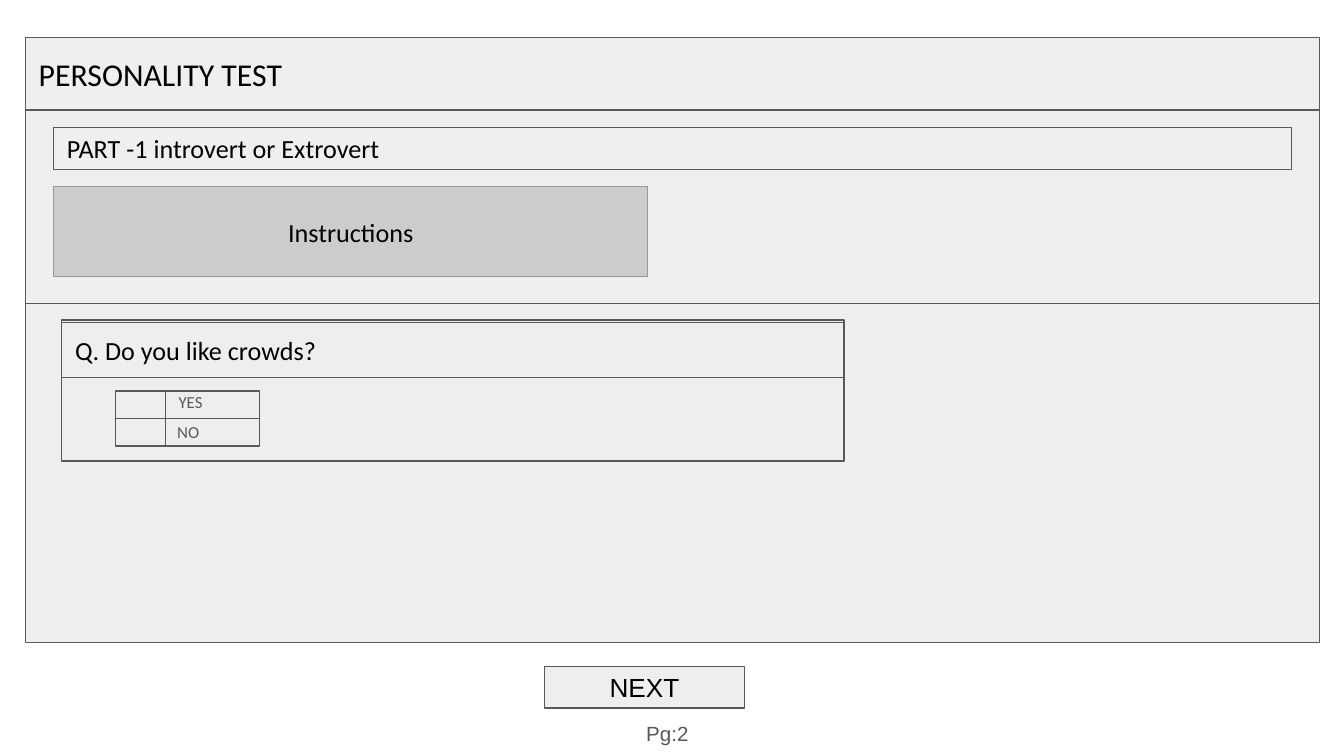
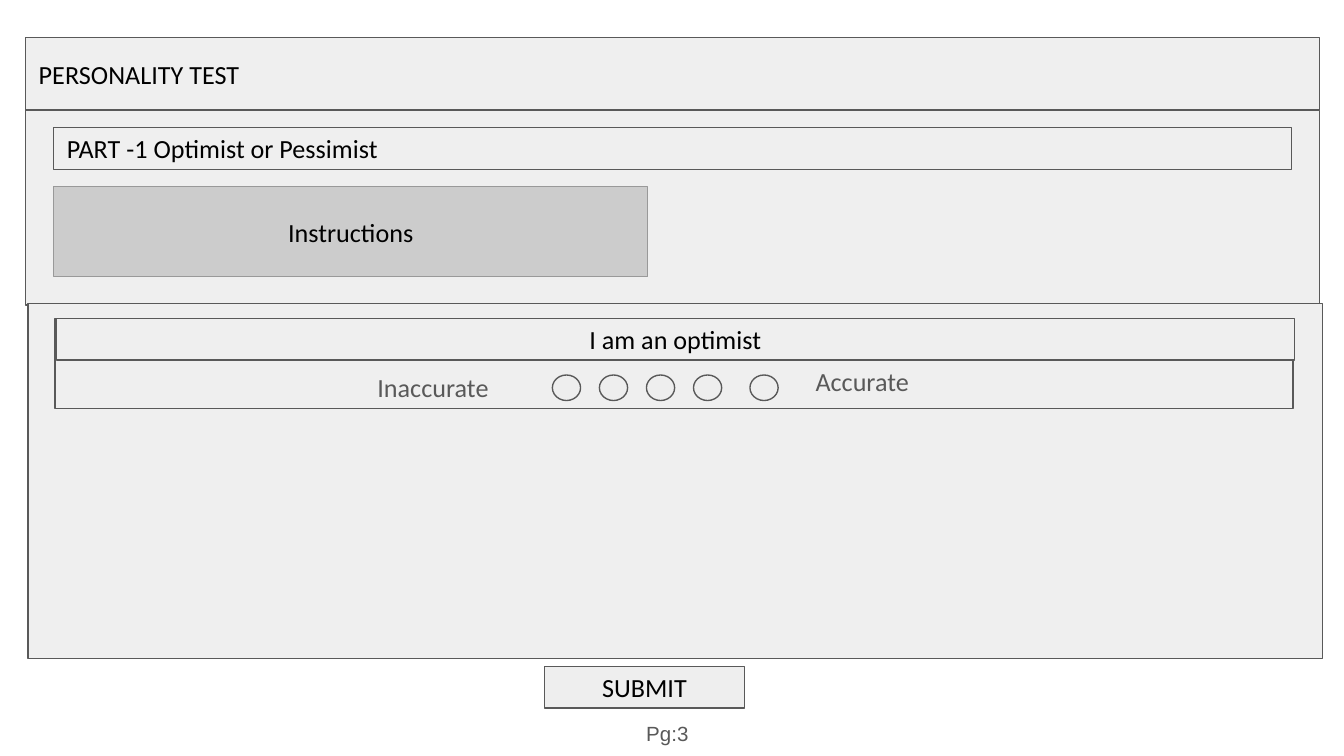
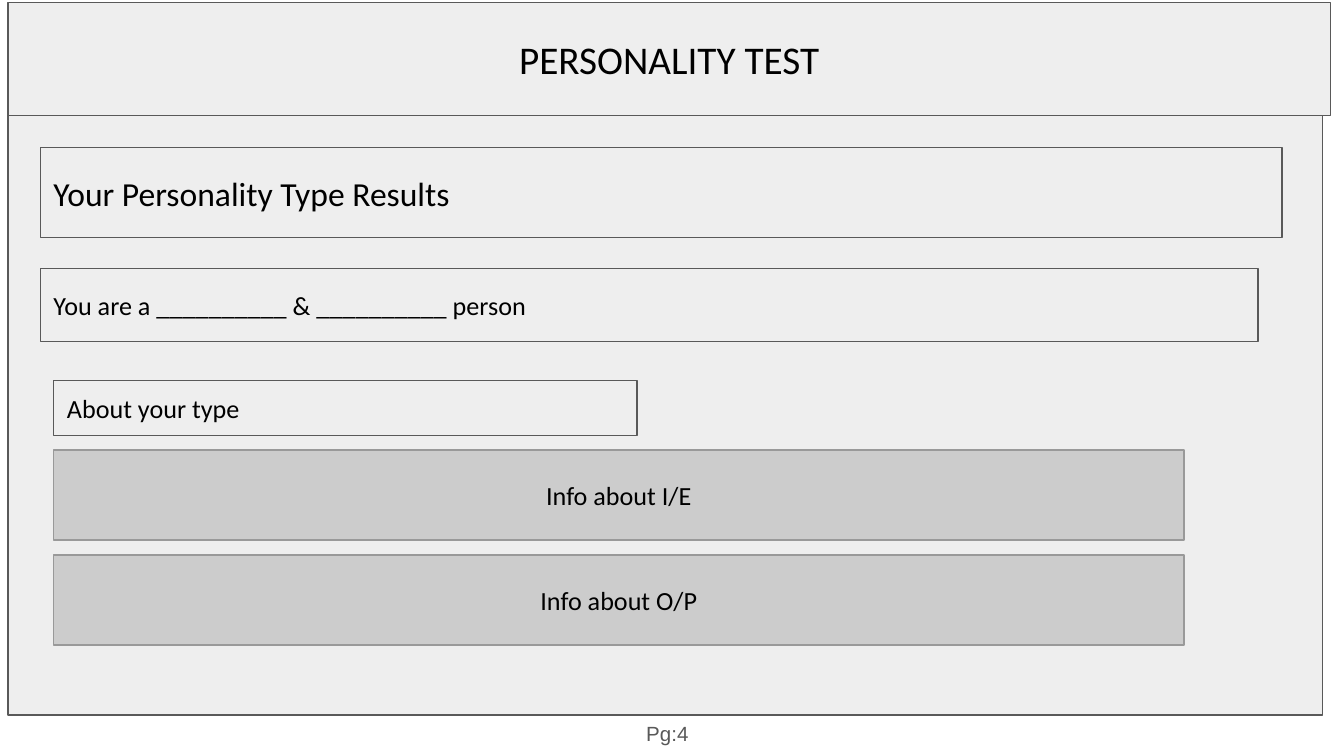
from dataclasses import dataclass

from pptx import Presentation
from pptx.dml.color import RGBColor
from pptx.enum import shapes, text
from pptx.oxml import ns
from pptx.util import Inches, Pt
from lxml import etree

BLACK = RGBColor(0x00, 0x00, 0x00)
DARK_GREY = RGBColor(0x59, 0x59, 0x59)
MID_GREY = RGBColor(0x99, 0x99, 0x99)
BLOCK_GREY = RGBColor(0xCC, 0xCC, 0xCC)
PANEL_GREY = RGBColor(0xEF, 0xEF, 0xEF)
FIELD_GREY = RGBColor(0xEE, 0xEE, 0xEE)

BODY_FONT = "Calibri"
PLAIN_FONT = "Arial"
LINE_WIDTH = Pt(0.75)
INSET = Inches(0.1)
SLIDE_WIDTH = Inches(10)
SLIDE_HEIGHT = SLIDE_WIDTH * 9 // 16
LEFT, CENTER = text.PP_ALIGN.LEFT, text.PP_ALIGN.CENTER
RECTANGLE, OVAL = shapes.MSO_SHAPE.RECTANGLE, shapes.MSO_SHAPE.OVAL


@dataclass(frozen=True)
class Box:
    left: float
    top: float
    width: float
    height: float
    label: str = ""
    size: float = 14
    align: text.PP_ALIGN = LEFT
    font: str = BODY_FONT
    fill: RGBColor = FIELD_GREY
    line: RGBColor = DARK_GREY
    kind: shapes.MSO_SHAPE = RECTANGLE

    def lengths(self):
        return [Inches(n) for n in (self.left, self.top, self.width, self.height)]


def write_text(shape, content: str, *, size: float = 14, color: RGBColor = BLACK,
               font: str = BODY_FONT, align: text.PP_ALIGN = LEFT,
               anchor: text.MSO_ANCHOR = text.MSO_ANCHOR.MIDDLE) -> None:
    frame = shape.text_frame
    frame.word_wrap = True
    frame.vertical_anchor = anchor
    frame.margin_left = frame.margin_right = INSET
    frame.margin_top = frame.margin_bottom = INSET
    paragraph = frame.paragraphs[0]
    paragraph.alignment = align
    run = paragraph.add_run()
    run.text = content
    run.font.size = Pt(size)
    run.font.name = font
    run.font.color.rgb = color


def add_box(slide, box: Box):
    shape = slide.shapes.add_shape(box.kind, *box.lengths())
    shape.shadow.inherit = False
    shape.fill.solid()
    shape.fill.fore_color.rgb = box.fill
    shape.line.color.rgb = box.line
    shape.line.width = LINE_WIDTH
    if box.label:
        write_text(shape, box.label, size=box.size, font=box.font, align=box.align)
    return shape


def add_label(slide, left: float, top: float, width: float, height: float,
              content: str, size: float, font: str = BODY_FONT) -> None:
    label = slide.shapes.add_textbox(*map(Inches, (left, top, width, height)))
    write_text(label, content, size=size, color=DARK_GREY, font=font,
               anchor=text.MSO_ANCHOR.TOP)


def add_rule(slide, x1: float, y1: float, x2: float, y2: float):
    rule = slide.shapes.add_connector(shapes.MSO_CONNECTOR.STRAIGHT,
                                      *map(Inches, (x1, y1, x2, y2)))
    rule.line.color.rgb = DARK_GREY
    rule.line.width = LINE_WIDTH
    etree.SubElement(rule._element.spPr, ns.qn("a:effectLst"))
    return rule


def add_block(slide, left: float, top: float, width: float, label: str) -> None:
    """Darker block that stands for a passage of text."""
    add_box(slide, Box(left, top, width, 0.67, label, align=CENTER,
                       fill=BLOCK_GREY, line=MID_GREY))


def add_page_number(slide, number: int) -> None:
    add_label(slide, 4.71, 5.28, 0.85, 0.18, f"Pg:{number}", 11, PLAIN_FONT)


def add_button(slide, label: str, font: str) -> None:
    add_box(slide, Box(4.05, 4.96, 1.49, 0.31, label, align=CENTER, font=font))


def add_test_header(slide, title_size: float, part: str) -> None:
    """Title band, part name and instructions of a question page."""
    add_box(slide, Box(0.19, 0.28, 9.63, 0.54, "PERSONALITY TEST", title_size,
                       fill=PANEL_GREY))
    add_box(slide, Box(0.19, 0.82, 9.63, 1.45, fill=PANEL_GREY))
    add_box(slide, Box(0.4, 0.95, 9.21, 0.31, part, fill=PANEL_GREY))
    add_block(slide, 0.4, 1.39, 4.42, "Instructions")


def build_introvert_page(slide) -> None:
    add_test_header(slide, 17, "PART -1 introvert or Extrovert")

    # Question
    add_box(slide, Box(0.19, 2.26, 9.63, 2.52, fill=PANEL_GREY))
    add_box(slide, Box(0.46, 2.38, 5.82, 1.05))
    add_box(slide, Box(0.46, 2.4, 5.82, 0.41, "Q. Do you like crowds?"))

    # Answer grid
    answers = add_box(slide, Box(0.86, 2.91, 1.07, 0.41))
    divider = add_rule(slide, 0.86, 3.11, 1.93, 3.11)
    divider.begin_connect(answers, 1)
    divider.end_connect(answers, 3)
    add_rule(slide, 1.23, 2.91, 1.23, 3.31)
    add_label(slide, 1.23, 2.84, 1.72, 0.23, "YES", 9)
    add_label(slide, 1.22, 3.06, 1.72, 0.23, "NO", 9)

    add_button(slide, "NEXT", PLAIN_FONT)


def build_optimist_page(slide) -> None:
    add_test_header(slide, 14, "PART -1 Optimist or Pessimist")

    # Statement
    add_box(slide, Box(0.21, 2.26, 9.63, 2.64, fill=PANEL_GREY))
    add_box(slide, Box(0.41, 2.37, 9.21, 0.67, fill=PANEL_GREY))
    add_box(slide, Box(0.42, 2.37, 9.21, 0.31, "I am an optimist", align=CENTER,
                       fill=PANEL_GREY))

    # Rating scale, with the last choice set slightly apart
    add_label(slide, 2.71, 2.66, 1.6, 0.25, "Inaccurate", 14)
    add_label(slide, 5.97, 2.62, 1.6, 0.25, "Accurate", 14)
    choice_lefts = [4.11 + 0.35 * i for i in range(4)] + [5.58]
    for left in choice_lefts:
        add_box(slide, Box(left, 2.79, 0.21, 0.19, kind=OVAL))

    add_button(slide, "SUBMIT", BODY_FONT)


def build_results_page(slide) -> None:
    # Title band and panel
    add_box(slide, Box(0.06, 0.02, 9.84, 0.84, "PERSONALITY TEST", 21, CENTER))
    add_box(slide, Box(0.06, 0.86, 9.78, 4.46))

    # Results
    add_box(slide, Box(0.3, 1.1, 9.24, 0.67, "Your Personality Type Results", 18))
    add_box(slide, Box(0.3, 2, 9.06, 0.54,
                       "You are a __________ & __________ person"))
    add_box(slide, Box(0.4, 2.83, 4.34, 0.41, "About your type"))
    for row, topic in enumerate(("I/E", "O/P")):
        add_block(slide, 0.4, 3.35 + 0.78 * row, 8.41, f"Info about {topic}")


def main() -> None:
    presentation = Presentation()
    presentation.slide_width = SLIDE_WIDTH
    presentation.slide_height = SLIDE_HEIGHT
    blank = presentation.slide_layouts[6]
    pages = (build_introvert_page, build_optimist_page, build_results_page)
    for number, build_page in enumerate(pages, start=2):
        slide = presentation.slides.add_slide(blank)
        build_page(slide)
        add_page_number(slide, number)
    presentation.save("out.pptx")


if __name__ == "__main__":
    main()
